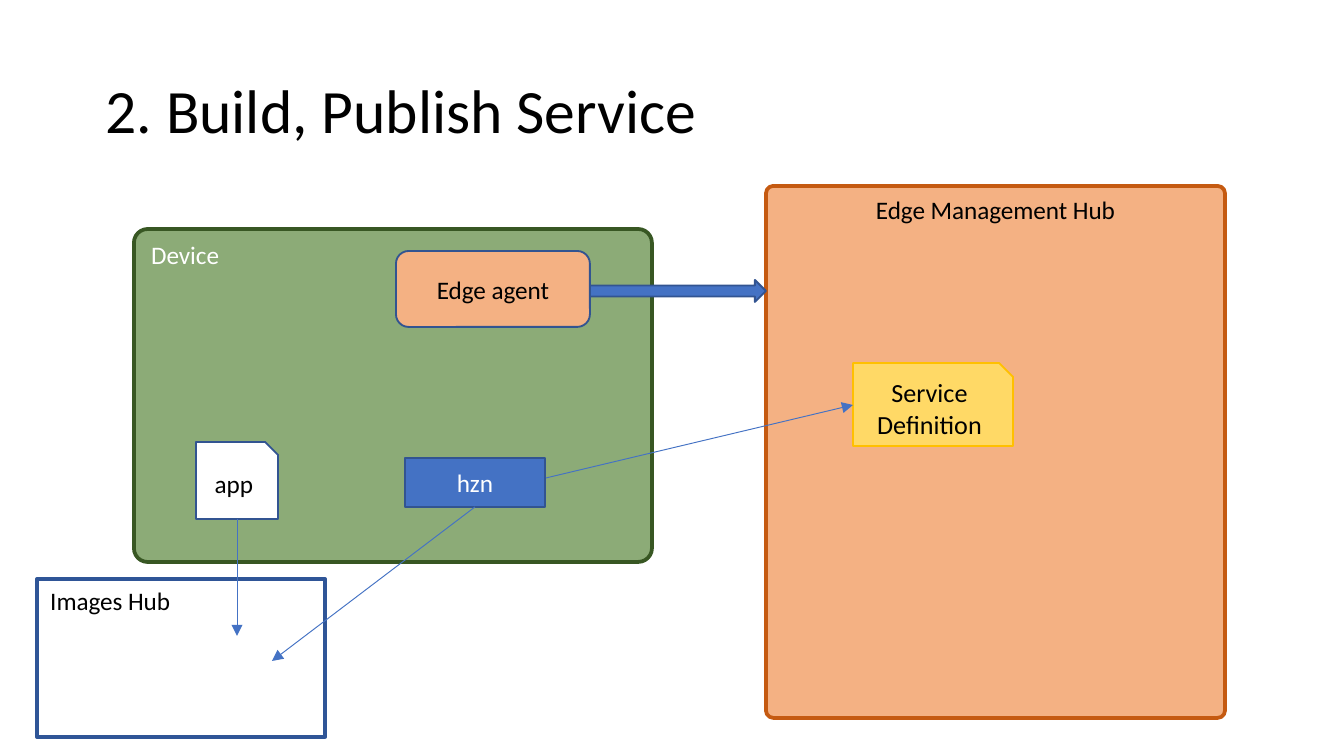
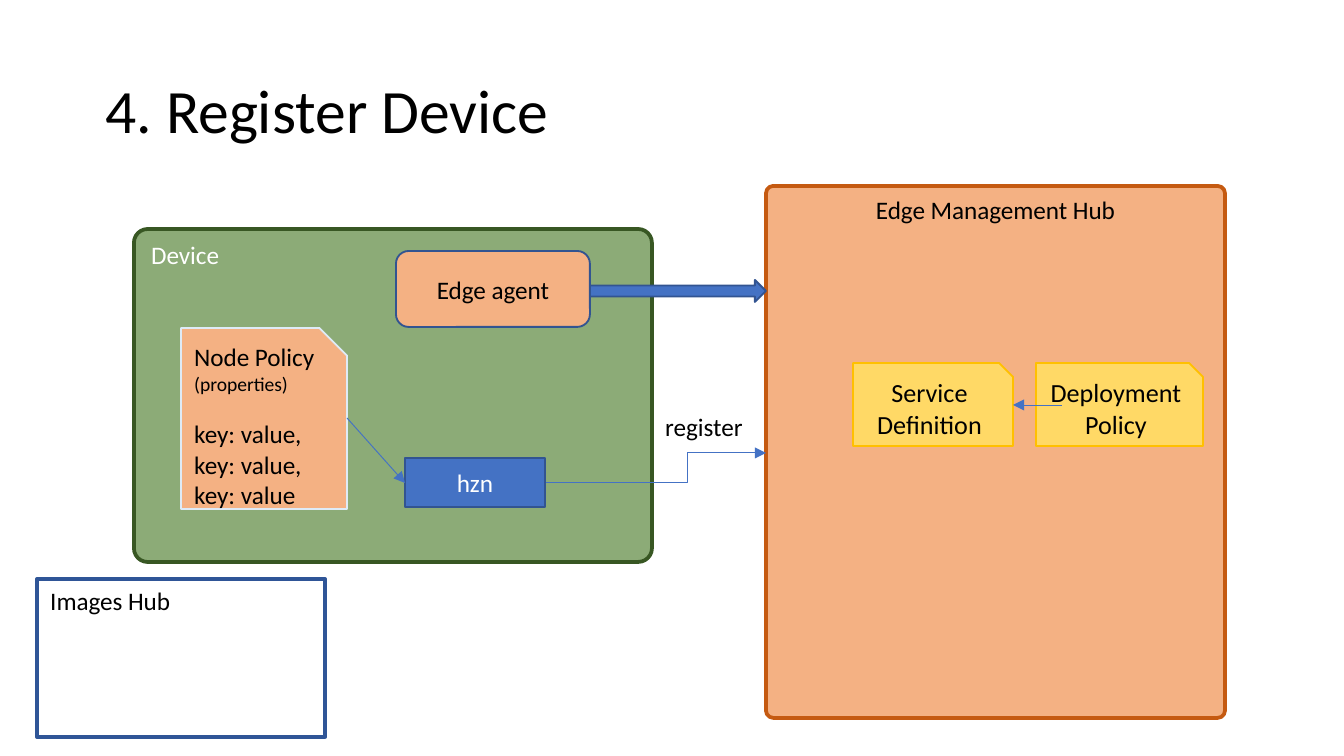
from pptx import Presentation
from pptx.dml.color import RGBColor
from pptx.enum.shapes import MSO_CONNECTOR, MSO_SHAPE
from pptx.enum.text import MSO_ANCHOR, MSO_AUTO_SIZE, PP_ALIGN
from pptx.oxml.ns import qn
from pptx.util import Emu, Pt
from lxml import etree

PX = 914400 / 134.4
RECT, ROUND = MSO_SHAPE.RECTANGLE, MSO_SHAPE.ROUNDED_RECTANGLE
SNIP, ARROW = MSO_SHAPE.SNIP_1_RECTANGLE, MSO_SHAPE.RIGHT_ARROW
STRAIGHT, ELBOW = MSO_CONNECTOR.STRAIGHT, MSO_CONNECTOR.ELBOW
LEFT, CENTER = PP_ALIGN.LEFT, PP_ALIGN.CENTER
TOP, MIDDLE = MSO_ANCHOR.TOP, MSO_ANCHOR.MIDDLE
NO_FIT, GROW = MSO_AUTO_SIZE.NONE, MSO_AUTO_SIZE.SHAPE_TO_FIT_TEXT

COLORS = {name: RGBColor.from_string(value) for name, value in {
    "black": "000000", "white": "FFFFFF", "blue": "4472C4", "blue edge": "325491",
    "registry edge": "2F5597", "orange": "F4B183", "orange edge": "C55A11",
    "green": "548235", "green edge": "385723", "yellow": "FFD966",
    "yellow edge": "FFC000", "pale edge": "DEEBF7",
}.items()}
BODY = {"name": "Calibri", "size": Pt(13.5)}
SMALL = {"name": "Calibri", "size": Pt(10.5)}
CARD = {"name": "Calibri", "size": Pt(14)}
HEADING = {"name": "Calibri", "size": Pt(33)}


def write(paragraph, text, style, color="black"):
    run = paragraph.add_run()
    run.text = text
    for key, value in style.items():
        setattr(run.font, key, value)
    run.font.color.rgb = COLORS[color]


def draw(slide, preset, box, fill, edge, text="", ink="black", align=CENTER,
         anchor=MIDDLE, width=1, corner=None, style=BODY):
    shape = slide.shapes.add_shape(preset, *[Emu(round(n * PX)) for n in box])
    shape.shadow.inherit = False
    shape.fill.solid()
    shape.fill.fore_color.rgb = COLORS[fill]
    shape.line.color.rgb = COLORS[edge]
    shape.line.width = Pt(width)
    if corner:
        shape.adjustments[0] = corner
    if text:
        frame = shape.text_frame
        frame.word_wrap, frame.vertical_anchor = True, anchor
        frame.paragraphs[0].alignment = align
        write(frame.paragraphs[0], text, style, ink)
    return shape


prs = Presentation()
prs.slide_width, prs.slide_height = Emu(round(1344 * PX)), Emu(round(756 * PX))

slides = []
for heading in ["2. Build, Publish Service", "4. Register Device"]:
    slide = prs.slides.add_slide(prs.slide_layouts[5])
    slides.append(slide)
    title = slide.shapes.title
    for side, length in {"left": 92, "top": 40, "width": 1159, "height": 147}.items():
        setattr(title, side, Emu(round(length * PX)))
    for key, value in {"word_wrap": True, "auto_size": NO_FIT, "vertical_anchor": MIDDLE}.items():
        setattr(title.text_frame, key, value)
    for key, value in {"alignment": LEFT, "line_spacing": 0.9}.items():
        setattr(title.text_frame.paragraphs[0], key, value)
    write(title.text_frame.paragraphs[0], heading, HEADING)

    draw(slide, RECT, (37, 579, 288, 158), "white", "registry edge", "Images Hub",
         align=LEFT, anchor=TOP, width=2)
    draw(slide, ROUND, (766, 186, 459, 532), "orange", "orange edge", "Edge Management Hub",
         anchor=TOP, width=2, corner=0.016)
    device = draw(slide, ROUND, (134, 229, 518, 333), "green", "green edge", "Device", "white",
                  align=LEFT, anchor=TOP, width=2, corner=0.041)
    device_color = device.fill._xPr.find(qn("a:solidFill"))[0]
    etree.SubElement(device_color, qn("a:alpha"), val="67000")
    draw(slide, ROUND, (396, 251, 194, 76), "orange", "blue edge", "Edge agent")
    draw(slide, ARROW, (590, 280, 176, 22), "blue", "blue edge")
    draw(slide, RECT, (405, 458, 140, 49), "blue", "blue edge", "hzn", "white")
    draw(slide, SNIP, (853, 363, 160, 83), "yellow", "yellow edge", "Service Definition", style=CARD)

publish, register = slides
draw(publish, SNIP, (196, 442, 82, 77), "white", "blue edge", "app")
draw(register, SNIP, (1036, 363, 167, 83), "yellow", "yellow edge", "Deployment Policy", style=CARD)

node_policy = draw(register, SNIP, (181, 328, 166, 181), "orange", "pale edge",
                   "Node Policy ", align=LEFT).text_frame
write(node_policy.paragraphs[0], "(properties)", SMALL)
properties = node_policy.add_paragraph()
properties.alignment = LEFT
properties.space_before = Pt(12.6)
for number, line in enumerate(["key: value,", "key: value,", "key: value"]):
    if number:
        properties.add_line_break()
    write(properties, line, BODY)

register_label = register.shapes.add_textbox(*[Emu(round(n * PX)) for n in (652, 405, 106, 44)])
register_label.text_frame.word_wrap = False
register_label.text_frame.auto_size = GROW
write(register_label.text_frame.paragraphs[0], "register", BODY)

flows = [
    (publish, STRAIGHT, (237, 519, 237, 636)),
    (publish, STRAIGHT, (475, 507, 272, 661)),
    (publish, STRAIGHT, (546, 478, 853, 405)),
    (register, ELBOW, (546, 483, 766, 453)),
    (register, STRAIGHT, (1062, 405, 1013, 405)),
    (register, STRAIGHT, (347, 418, 405, 483)),
]
for slide, route, ends in flows:
    flow = slide.shapes.add_connector(route, *[Emu(round(n * PX)) for n in ends])
    flow.line.color.rgb = COLORS["blue"]
    flow.line.width = Pt(0.5)
    properties_xml = flow._element.spPr
    etree.SubElement(properties_xml.find(qn("a:ln")), qn("a:tailEnd"), type="triangle")
    etree.SubElement(properties_xml, qn("a:effectLst"))
    if route == ELBOW:
        bend = properties_xml.find(qn("a:prstGeom")).find(qn("a:avLst"))
        etree.SubElement(bend, qn("a:gd"), name="adj1", fmla="val 64400")

prs.save("out.pptx")
